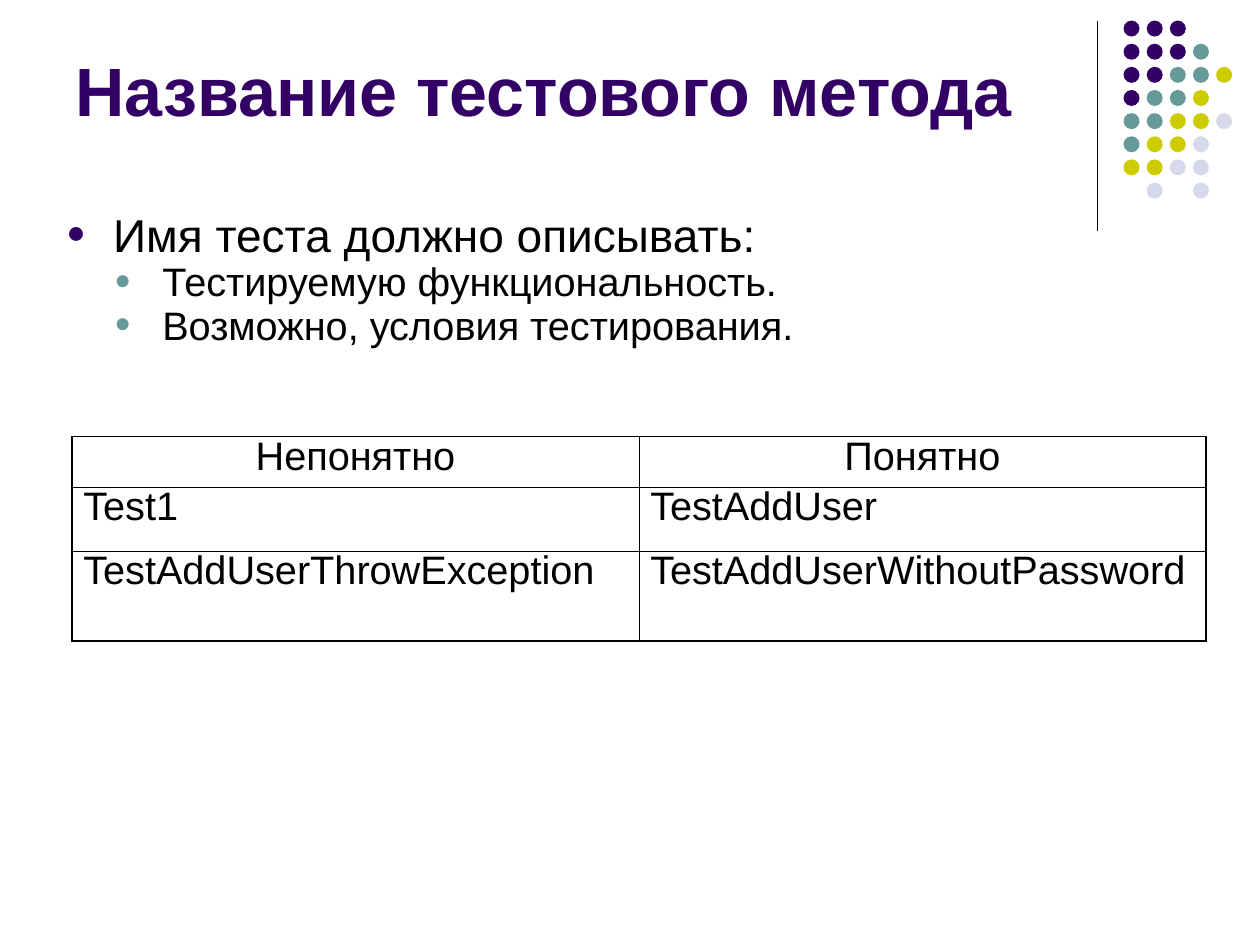
from lxml import etree
from pptx import Presentation
from pptx import util as u
from pptx.dml.color import RGBColor
from pptx.enum import shapes, text
from pptx.oxml import ns

TITLE = "Название тестового метода"
POINTS = [
    (0, "Имя теста должно описывать:"),
    (1, "Тестируемую функциональность."),
    (1, "Возможно, условия тестирования."),
]
# level: size, space before, left margin, hanging indent, bullet colour
LEVELS = {0: (29, 7.3, 0.41, 0.41, "330066"), 1: (25, 6.2, 0.84, 0.42, "669999")}
NAMES = [
    ("Непонятно", "Понятно"),
    ("Test1", "TestAddUser"),
    ("TestAddUserThrowException", "TestAddUserWithoutPassword"),
]
ROW_HEIGHTS = (0.44, 0.56, 0.79)
COLUMN_WIDTH = 4.96
DOTS = ["PPP", "PPPT", "PPTTY", "PTTY", "TTYYL", "TYYL", "YYLL", " L L"]
DOT_COLOURS = {"P": "330066", "T": "669999", "Y": "CCCC00", "L": "D8D8EC"}
DOT_SIZE, DOT_PITCH = 0.14, 0.81 / 4
BLACK = "000000"


def colour(value):
    return RGBColor.from_string(value)


def add(parent, tag, **attributes):
    return etree.SubElement(parent, ns.qn(tag), attributes)


def style(paragraph, size, value, bold=False):
    font = paragraph.font
    font.name, font.size, font.bold = "Arial", u.Pt(size), bold
    font.color.rgb = colour(value)


def place(shape, left, top, width, height):
    shape.left, shape.top = u.Inches(left), u.Inches(top)
    shape.width, shape.height = u.Inches(width), u.Inches(height)
    frame = shape.text_frame
    frame.word_wrap, frame.auto_size = True, text.MSO_AUTO_SIZE.NONE
    frame.margin_left = frame.margin_right = u.Inches(0.11)
    frame.margin_top = frame.margin_bottom = u.Inches(0.06)
    return frame


def bullet(paragraph, margin, hanging, value):
    properties = paragraph._p.get_or_add_pPr()
    properties.set("marL", str(u.Inches(margin)))
    properties.set("indent", str(-u.Inches(hanging)))
    add(add(properties, "a:buClr"), "a:srgbClr", val=value)
    add(properties, "a:buSzPct", val="70000")
    add(properties, "a:buFont", typeface="Arial")
    add(properties, "a:buChar", char="●")


def border(cell, row, column):
    """Draw thin lines inside the table and thicker ones round it."""
    outer = {
        "a:lnL": column == 0,
        "a:lnR": column == len(NAMES[0]) - 1,
        "a:lnT": row == 0,
        "a:lnB": row == len(NAMES) - 1,
    }
    properties = cell._tc.get_or_add_tcPr()
    for side, is_outer in outer.items():
        line = add(properties, side, w=str(u.Pt(1.08 if is_outer else 0.45)))
        add(add(line, "a:solidFill"), "a:srgbClr", val=BLACK)


prs = Presentation()
prs.slide_width, prs.slide_height = u.Cm(28), u.Cm(21)
prs.element.sldSz.attrib.pop("type", None)
slide = prs.slides.add_slide(prs.slide_layouts[1])

divider = slide.shapes.add_connector(
    shapes.MSO_CONNECTOR.STRAIGHT,
    u.Inches(9.6), u.Inches(0.18), u.Inches(9.6), u.Inches(2.02))
divider.line.color.rgb = colour(BLACK)
divider.line.width = u.Pt(0.75)
add(divider._element.spPr, "a:effectLst")

for row, dots in enumerate(DOTS):
    for column, key in enumerate(dots):
        if key == " ":
            continue
        dot = slide.shapes.add_shape(
            shapes.MSO_SHAPE.OVAL,
            u.Inches(9.83 + column * DOT_PITCH), u.Inches(0.18 + row * DOT_PITCH),
            u.Inches(DOT_SIZE), u.Inches(DOT_SIZE))
        dot.shadow.inherit = False
        dot.fill.solid()
        dot.fill.fore_color.rgb = colour(DOT_COLOURS[key])
        dot.line.fill.background()

title = place(slide.shapes.title, 0.55, 0.35, 9.09, 1.56)
title.vertical_anchor = text.MSO_ANCHOR.BOTTOM
title.margin_bottom = u.Inches(0.77)
title.text = TITLE
title.paragraphs[0].alignment = text.PP_ALIGN.LEFT
style(title.paragraphs[0], 43, "330066", bold=True)

body = place(slide.placeholders[1], 0.47, 1.88, 9.84, 5.57)
for index, (level, point) in enumerate(POINTS):
    size, before, margin, hanging, bullet_colour = LEVELS[level]
    paragraph = body.add_paragraph() if index else body.paragraphs[0]
    paragraph.text, paragraph.level = point, level
    bullet(paragraph, margin, hanging, bullet_colour)
    paragraph.line_spacing = 0.7
    paragraph.space_before = u.Pt(before if index else 0)
    style(paragraph, size, BLACK)

table = slide.shapes.add_table(
    len(NAMES), len(NAMES[0]), u.Inches(0.63), u.Inches(3.82),
    u.Inches(COLUMN_WIDTH * len(NAMES[0])), u.Inches(sum(ROW_HEIGHTS))).table
table.first_row = table.horz_banding = False
for column in table.columns:
    column.width = u.Inches(COLUMN_WIDTH)
for row, names in enumerate(NAMES):
    table.rows[row].height = u.Inches(ROW_HEIGHTS[row])
    for column, name in enumerate(names):
        cell = table.cell(row, column)
        cell.text = name
        border(cell, row, column)
        cell.fill.background()
        paragraph = cell.text_frame.paragraphs[0]
        paragraph.alignment = text.PP_ALIGN.LEFT if row else text.PP_ALIGN.CENTER
        paragraph.line_spacing = 0.8
        style(paragraph, 25, BLACK)

prs.save("out.pptx")
